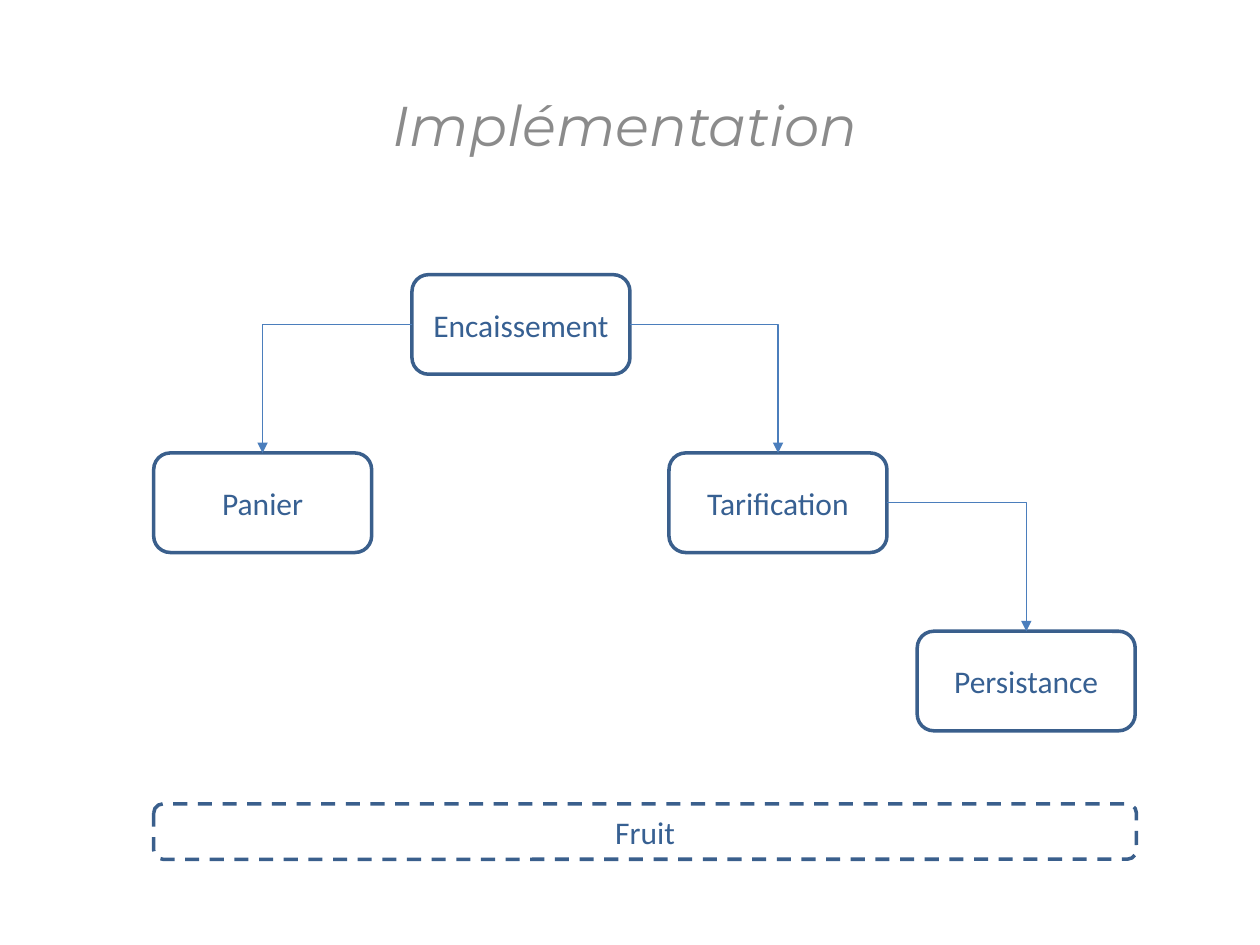
from dataclasses import dataclass

from pptx import Presentation
from pptx.dml.color import RGBColor
from pptx.enum import dml, shapes, text
from pptx.oxml import ns, xmlchemy
from pptx.util import Inches, Pt


@dataclass(frozen=True)
class Theme:
    outline: RGBColor = RGBColor.from_string("3A5F8C")
    label: RGBColor = RGBColor.from_string("376092")
    arrow: RGBColor = RGBColor.from_string("4B7EBC")
    title: RGBColor = RGBColor.from_string("8B8B8B")
    label_font: str = "Calibri"
    title_font: str = "Montserrat"
    label_size: Pt = Pt(18)
    title_size: Pt = Pt(32)
    outline_width: Pt = Pt(2)
    arrow_width: Pt = Pt(0.75)


THEME = Theme()
LEFT, TOP, RIGHT, BOTTOM = 1, 0, 3, 2  # connection sites of a box
BOX_WIDTH, BOX_HEIGHT = 1.73, 0.79
ROW_STEP = 1.415

# name: (left edge, row) within the diagram
COMPONENTS = {
    "Panier": (0, 1),
    "Persistance": (6.06, 2),
    "Tarification": (4.09, 1),
    "Encaissement": (2.05, 0),
}
DEPENDENCIES = [
    ("Encaissement", RIGHT, "Tarification"),
    ("Tarification", RIGHT, "Persistance"),
    ("Encaissement", LEFT, "Panier"),
]


def write_text(shape, words, font_name, size, color, italic=None):
    frame = shape.text_frame
    frame.text = words
    frame.word_wrap = True
    paragraph = frame.paragraphs[0]
    paragraph.alignment = text.PP_ALIGN.CENTER
    font = paragraph.runs[0].font
    font.name, font.size, font.italic = font_name, size, italic
    font.color.rgb = color


def add_title(slide, left, top, width, height):
    shape = slide.shapes.add_textbox(*map(Inches, (left, top, width, height)))
    write_text(shape, "Implémentation", THEME.title_font, THEME.title_size,
               THEME.title, italic=True)


def add_box(slide, name, left, top, width, height, dashed=False):
    shape = slide.shapes.add_shape(
        shapes.MSO_SHAPE.ROUNDED_RECTANGLE, *map(Inches, (left, top, width, height)))
    shape.shadow.inherit = False
    shape.fill.background()
    shape.line.color.rgb = THEME.outline
    shape.line.width = THEME.outline_width
    if dashed:
        shape.line.dash_style = dml.MSO_LINE.DASH
    shape.text_frame.vertical_anchor = text.MSO_ANCHOR.MIDDLE
    write_text(shape, name, THEME.label_font, THEME.label_size, THEME.label)
    return shape


def add_arrow(slide, source, site, target):
    connector = slide.shapes.add_connector(shapes.MSO_CONNECTOR.ELBOW, 0, 0, 0, 0)
    connector.begin_connect(source, site)
    connector.end_connect(target, TOP)
    connector.line.color.rgb = THEME.arrow
    connector.line.width = THEME.arrow_width
    # Single bend, arrowhead and no shadow
    properties = connector._element.spPr
    properties.find(ns.qn("a:prstGeom")).set("prst", "bentConnector2")
    line = properties.find(ns.qn("a:ln"))
    line.append(xmlchemy.OxmlElement("a:tailEnd"))
    line[-1].set("type", "triangle")
    properties.append(xmlchemy.OxmlElement("a:effectLst"))


def add_components(slide, left, top):
    boxes = {
        name: add_box(slide, name, left + offset, top + row * ROW_STEP,
                      BOX_WIDTH, BOX_HEIGHT)
        for name, (offset, row) in COMPONENTS.items()
    }
    for source, site, target in DEPENDENCIES:
        add_arrow(slide, boxes[source], site, boxes[target])


def main():
    presentation = Presentation()
    presentation.slide_width, presentation.slide_height = Inches(10), Inches(7.5)
    slide = presentation.slides.add_slide(presentation.slide_layouts[6])

    # Shared base, component tree, then title
    add_box(slide, "Fruit", 1.22, 6.38, 7.8, 0.44, dashed=True)
    add_components(slide, 1.22, 2.18)
    add_title(slide, 0.28, 0.67, 9.37, 0.64)

    presentation.save("out.pptx")


if __name__ == "__main__":
    main()
